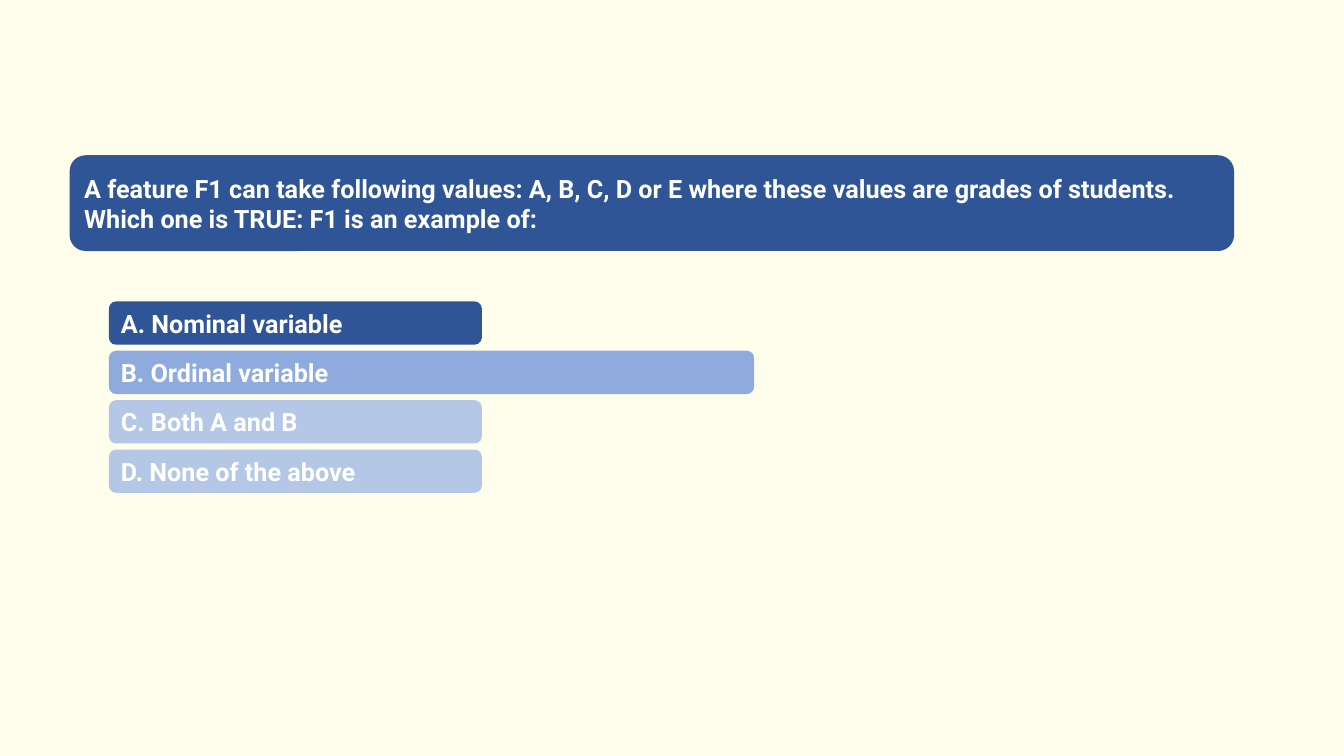
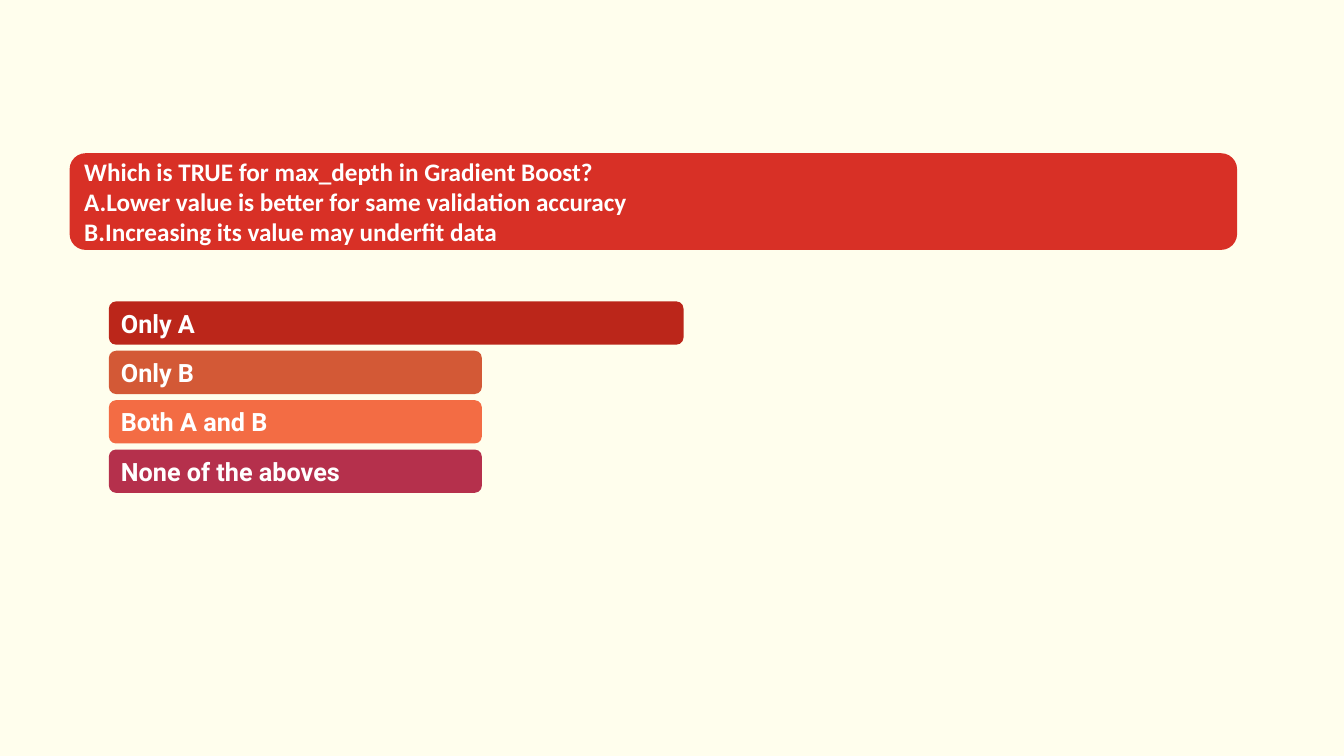
"""Build two quiz slides, each with a question banner and four answer bars."""
from pptx import Presentation
from pptx import util as u
from pptx.dml import color
from pptx.enum import shapes, text

CREAM, WHITE = "FFFEED", "FFFFFF"
NAVY, BLUE, PALE_BLUE = "2F5597", "8FAADC", "B4C7E7"
RED, DARK_RED, RUST, ORANGE, CRIMSON = "D83026", "BB261A", "D35936", "F36C44", "B5304C"
HEADING_FONT, PLAIN_FONT = "Roboto", "Calibri"
TEXT_SIZE = 18
BANNER_LEFT = 0.69
ANSWER_LEFT, ANSWER_TOP, ANSWER_HEIGHT, ANSWER_PITCH = 1.08, 2.99, 0.43, 0.49
SHORT_BAR = 3.7


def paint(fill, hex_color):
    """Give a fill one solid colour."""
    fill.solid()
    fill.fore_color.rgb = color.RGBColor.from_string(hex_color)


def add_label(slide, box, fill, lines, font=HEADING_FONT):
    """Add a rounded bar with bold white text, one line break between lines."""
    shape = slide.shapes.add_shape(
        shapes.MSO_SHAPE.ROUNDED_RECTANGLE, *(u.Inches(length) for length in box))
    shape.shadow.inherit = False
    paint(shape.fill, fill)
    shape.line.fill.background()
    frame = shape.text_frame
    frame.word_wrap = True
    frame.vertical_anchor = text.MSO_ANCHOR.MIDDLE
    paragraph = frame.paragraphs[0]
    paragraph.alignment = text.PP_ALIGN.LEFT
    for index, line in enumerate(lines):
        if index:
            paragraph.add_line_break()
        run = paragraph.add_run()
        run.text = line
        run.font.name = font
        run.font.size = u.Pt(TEXT_SIZE)
        run.font.bold = True
        paint(run.font.fill, WHITE)


def add_answers(slide, answers):
    """Stack the answer bars at an even pitch."""
    for row, (answer, fill, width) in enumerate(answers):
        top = ANSWER_TOP + row * ANSWER_PITCH
        add_label(slide, (ANSWER_LEFT, top, width, ANSWER_HEIGHT), fill, [answer])


def add_quiz_slide(presentation, banner, answers):
    """Add a slide with a question banner above its answers."""
    slide = presentation.slides.add_slide(presentation.slide_layouts[6])
    top, width, height, fill, lines, font = banner
    add_label(slide, (BANNER_LEFT, top, width, height), fill, lines, font)
    add_answers(slide, answers)


def main():
    """Build and save the presentation."""
    presentation = Presentation()
    presentation.slide_width = u.Inches(13.33)
    presentation.slide_height = u.Inches(7.5)
    paint(presentation.slide_master.background.fill, CREAM)

    grades_question = [
        "A feature F1 can take following values: A, B, C, D or E where these values "
        "are grades of students. Which one is TRUE: F1 is an example of:"]
    add_quiz_slide(
        presentation,
        (1.54, 11.55, 0.95, NAVY, grades_question, HEADING_FONT),
        [("A. Nominal variable", NAVY, SHORT_BAR),
         ("B. Ordinal variable", BLUE, 6.4),
         ("C. Both A and B", PALE_BLUE, SHORT_BAR),
         ("D. None of the above", PALE_BLUE, SHORT_BAR)])

    depth_question = [
        "Which is TRUE for max_depth in Gradient Boost?",
        "A.Lower value is better for same validation accuracy",
        "B.Increasing its value may underfit data"]
    add_quiz_slide(
        presentation,
        (1.52, 11.58, 0.96, RED, depth_question, PLAIN_FONT),
        [("Only A", DARK_RED, 5.7),
         ("Only B", RUST, SHORT_BAR),
         ("Both A and B", ORANGE, SHORT_BAR),
         ("None of the aboves", CRIMSON, SHORT_BAR)])

    presentation.save("out.pptx")


main()
